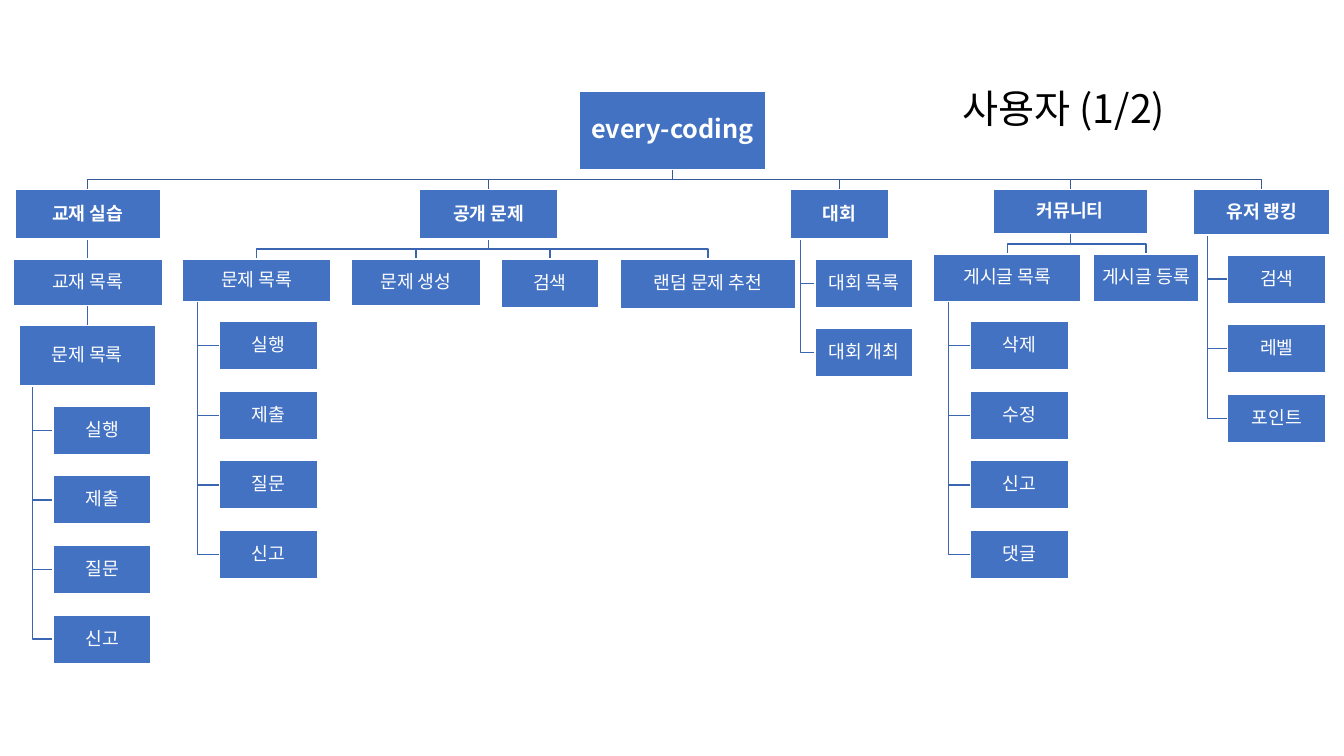
"""Build the user menu tree of the every-coding service as one slide."""
from lxml import etree
from pptx import Presentation
from pptx.dml.color import RGBColor
from pptx.enum.shapes import MSO_CONNECTOR, MSO_SHAPE
from pptx.enum.text import MSO_ANCHOR, PP_ALIGN
from pptx.oxml.ns import qn
from pptx.util import Inches, Pt

STRAIGHT = MSO_CONNECTOR.STRAIGHT
RECTANGLE = MSO_SHAPE.RECTANGLE
MIDDLE, TOP = MSO_ANCHOR.MIDDLE, MSO_ANCHOR.TOP
CENTER, LEFT = PP_ALIGN.CENTER, PP_ALIGN.LEFT
FONT = "Noto Sans CJK KR"
GAP = 0.2
LEAF_WIDTH, LEAF_HEIGHT, LEAF_STEP = 0.97, 0.48, 0.69
ROOT_LINE, BRANCH_LINE = "345A99", "3A66B1"


def color(hex_value):
    return RGBColor.from_string(hex_value)


def write(shape, text, size, hex_value, bold, align, anchor):
    frame = shape.text_frame
    frame.text = text
    frame.word_wrap = True
    frame.vertical_anchor = anchor
    para = frame.paragraphs[0]
    para.alignment = align
    span = para.runs[0]
    span.font.size = Pt(size)
    span.font.bold = bold
    span.font.name = FONT
    span.font.color.rgb = color(hex_value)
    etree.SubElement(span.font._element, qn("a:ea"), typeface=FONT)


deck = Presentation()
deck.slide_width, deck.slide_height = Inches(13.33), Inches(7.5)
page = deck.slides.add_slide(deck.slide_layouts[5])

# Each branch: text, parent index, left, width, height, leaves
branches = [
    ("every-coding", None, 5.75, 1.84, 0.77, []),
    ("교재 실습", 0, 0.15, 1.44, 0.49, []),
    ("공개 문제", 0, 4.16, 1.37, 0.49, []),
    ("대회", 0, 7.84, 0.97, 0.49, ["대회 목록", "대회 개최"]),
    ("커뮤니티", 0, 9.85, 1.53, 0.44, []),
    ("유저 랭킹", 0, 11.84, 1.35, 0.45, ["검색", "레벨", "포인트"]),
    ("교재 목록", 1, 0.13, 1.48, 0.46, []),
    ("문제 목록", 6, 0.19, 1.35, 0.6, ["실행", "제출", "질문", "신고"]),
    ("문제 목록", 2, 1.81, 1.47, 0.42, ["실행", "제출", "질문", "신고"]),
    ("문제 생성", 2, 3.48, 1.29, 0.46, []),
    ("검색", 2, 4.97, 0.97, 0.48, []),
    ("랜덤 문제 추천", 2, 6.15, 1.74, 0.49, []),
    ("게시글 목록", 4, 9.26, 1.46, 0.47, ["삭제", "수정", "신고", "댓글"]),
    ("게시글 등록", 4, 10.84, 1.05, 0.47, []),
]

boxes, links, centers, bottoms = [], [], [], []
for text, parent, left, width, height, leaves in branches:
    center = left + width / 2
    top = 0.91
    if parent is not None:
        start_x, start_y = centers[parent], bottoms[parent]
        top = start_y + GAP
        bend = start_y + GAP / 2
        line_color = ROOT_LINE if parent == 0 else BRANCH_LINE
        links.append(([(start_x, start_y), (start_x, bend), (center, bend), (center, top)], line_color))
    bottom = top + height
    centers.append(center)
    bottoms.append(bottom)
    size = 18 if parent is None else 13
    boxes.append((text, left, top, width, height, size, parent in (None, 0)))
    trunk, leaf_left = left + 0.1 * width, left + 0.25 * width
    for row, leaf in enumerate(leaves):
        leaf_top = bottom + GAP + row * LEAF_STEP
        middle = leaf_top + LEAF_HEIGHT / 2
        links.append(([(trunk, bottom), (trunk, middle), (leaf_left, middle)], BRANCH_LINE))
        boxes.append((leaf, leaf_left, leaf_top, LEAF_WIDTH, LEAF_HEIGHT, 13, False))

for points, line_color in links:
    points = [(Inches(x), Inches(y)) for x, y in points]
    start, end = points[0], points[-1]
    if abs(start[0] - end[0]) < Inches(0.02):
        link = page.shapes.add_connector(STRAIGHT, *start, start[0], end[1])
        etree.SubElement(link._element.spPr, qn("a:effectLst"))
    else:
        outline = page.shapes.build_freeform(*start)
        outline.add_line_segments(points[1:], close=False)
        link = outline.convert_to_shape()
        link.fill.background()
        link.shadow.inherit = False
    link.line.color.rgb = color(line_color)
    link.line.width = Pt(1)

for text, left, top, width, height, size, bold in boxes:
    box = page.shapes.add_shape(RECTANGLE, Inches(left), Inches(top), Inches(width), Inches(height))
    box.shadow.inherit = False
    box.fill.solid()
    box.fill.fore_color.rgb = color("4372C3")
    box.line.color.rgb = color("FFFFFF")
    box.line.width = Pt(1)
    write(box, text, size, "FFFFFF", bold, CENTER, MIDDLE)
    frame = box.text_frame
    frame.margin_left = frame.margin_right = frame.margin_top = frame.margin_bottom = Inches(0.01)
    frame.paragraphs[0].line_spacing = 0.9

title = page.shapes.title
title.left, title.top, title.width, title.height = Inches(9.45), Inches(0.79), Inches(2.73), Inches(0.57)
write(title, "사용자 (1/2)", 28, "000000", False, LEFT, TOP)

deck.save("out.pptx")
